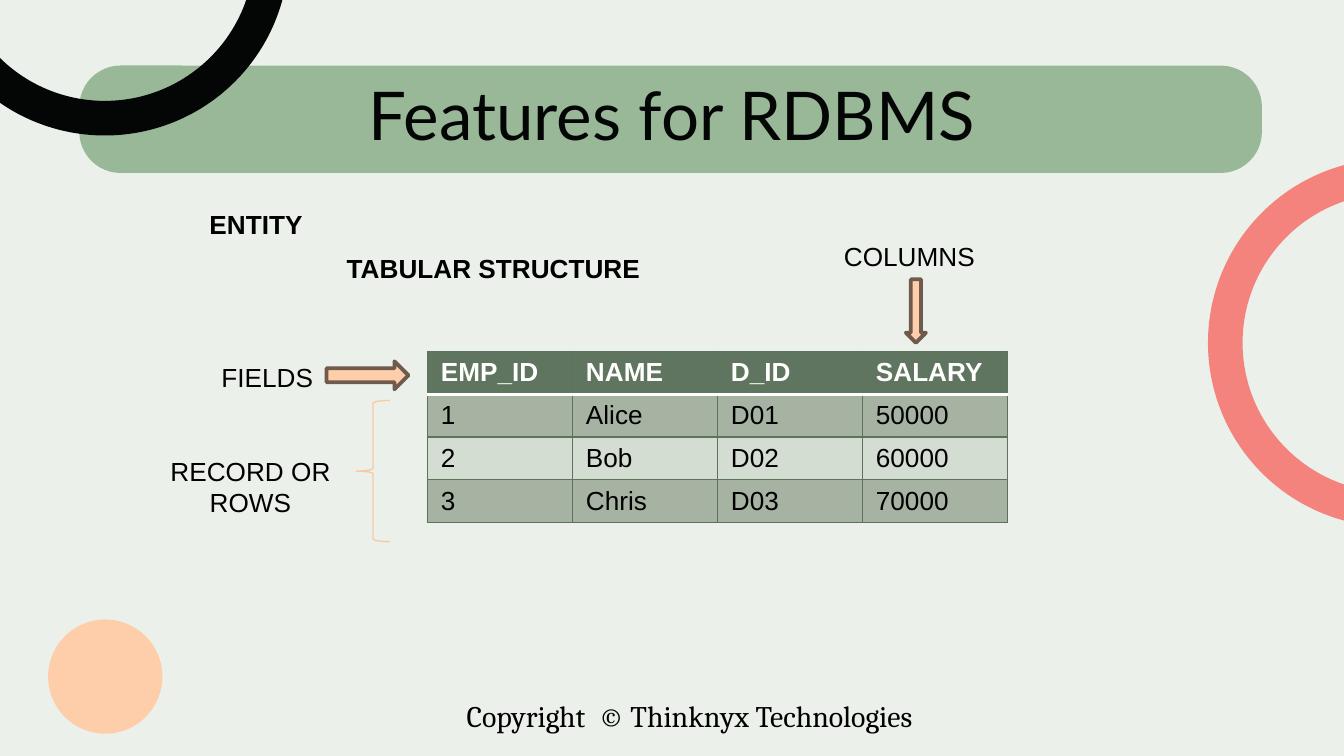
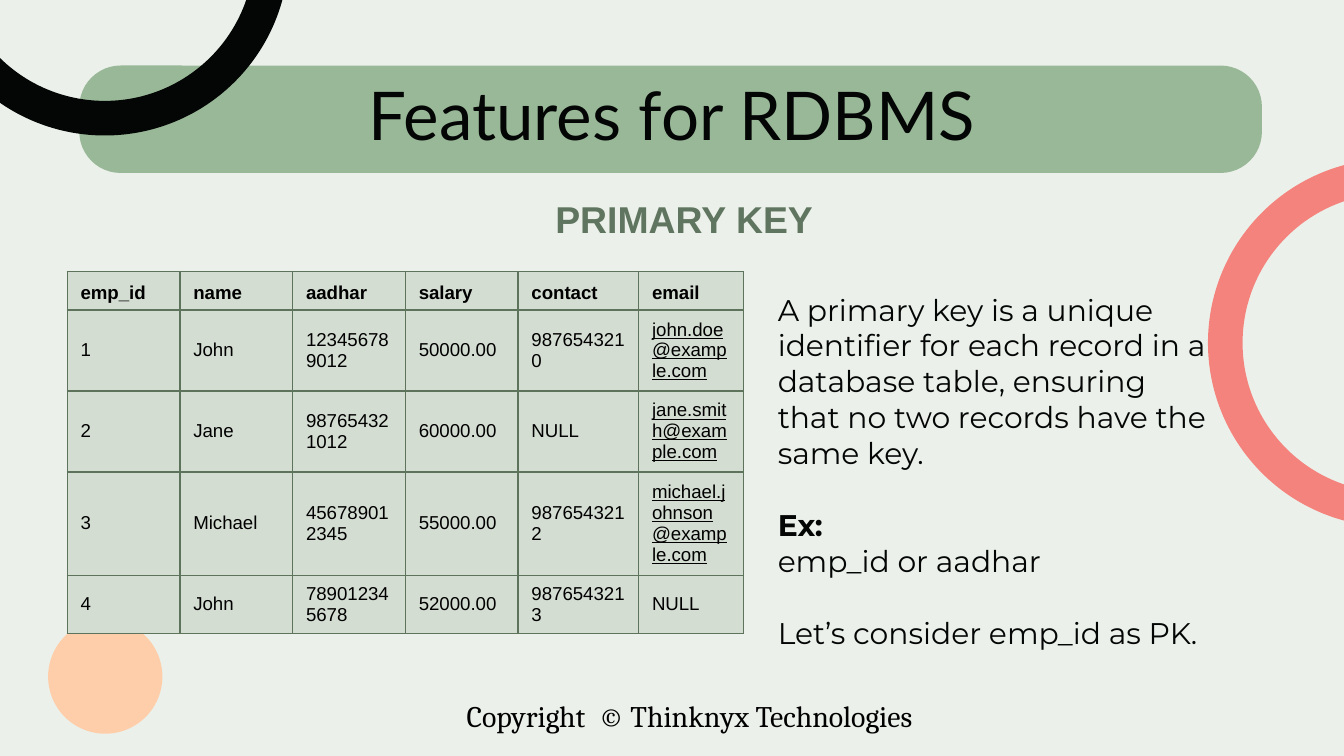
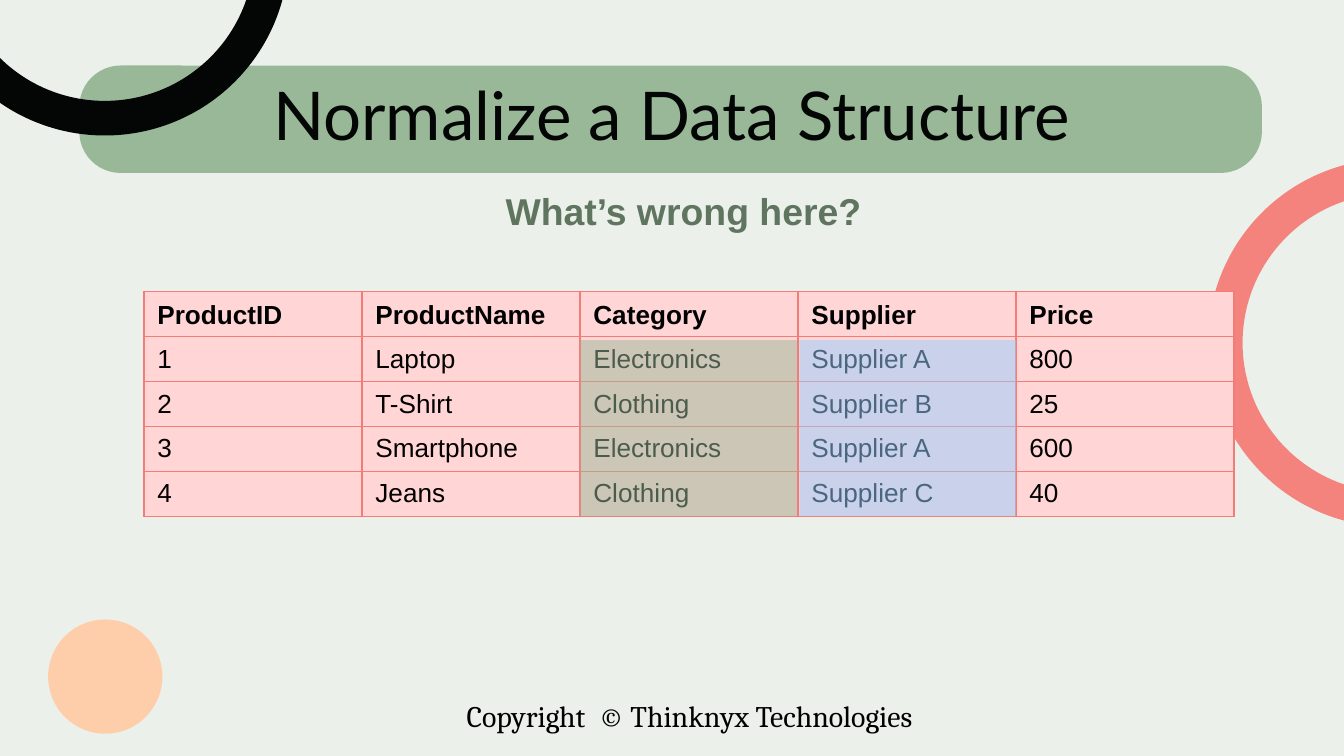
from lxml import etree
from pptx import Presentation
from pptx import util as u
from pptx.dml.color import RGBColor
from pptx.enum import shapes, text
from pptx.oxml.ns import qn

Cm, Pt = u.Cm, u.Pt
SHAPE, ALIGN, ANCHOR = shapes.MSO_SHAPE, text.PP_ALIGN, text.MSO_ANCHOR

BACKGROUND = RGBColor(0xEB, 0xF1, 0xEA)
BLACK = RGBColor(0, 0, 0)
INK = RGBColor(0x04, 0x05, 0x05)
WHITE = RGBColor(0xFF, 0xFF, 0xFF)
SAGE = RGBColor(0x99, 0xB8, 0x98)
PEACH = RGBColor(0xFE, 0xCE, 0xAA)
BRACE = RGBColor(0xFA, 0xC9, 0xA4)
BROWN = RGBColor(0x6F, 0x5A, 0x4B)
CORAL = RGBColor(0xF4, 0x83, 0x7D)
CORAL_EDGE = RGBColor(0xF2, 0x7D, 0x77)
PINK = RGBColor(0xFF, 0xD6, 0xD5)
GREEN = RGBColor(0x60, 0x75, 0x5F)
GREEN_EDGE = RGBColor(0x5D, 0x73, 0x5C)
GREEN_BAND = RGBColor(0xA6, 0xB2, 0xA2)
GREEN_PALE = RGBColor(0xD4, 0xDD, 0xD2)
SKY = RGBColor(0x96, 0xCD, 0xFF)


def add_label(s, words, box, align=ALIGN.LEFT, **style):
    sp = s.shapes.add_textbox(*map(Cm, box))
    tf = sp.text_frame
    tf.word_wrap = True
    p = tf.paragraphs[0]
    p.text, p.alignment = words, align
    fmt = {"name": "Arial", "size": Pt(14), "bold": False} | style
    p.font.color.rgb = fmt.pop("color", BLACK)
    for key, value in fmt.items():
        setattr(p.font, key, value)
    return sp


def add_grid(s, rows, left, top, widths, heights, fills, edge, size):
    """Add a bordered table with a bold first row and one fill per row."""
    tb = s.shapes.add_table(len(rows), len(widths), Cm(left), Cm(top),
                            Cm(sum(widths)), Cm(sum(heights))).table
    tb.horz_banding = False
    for col, width in zip(tb.columns, widths):
        col.width = Cm(width)
    for i, (row, values) in enumerate(zip(tb.rows, rows)):
        row.height = Cm(heights[i])
        for cell, value in zip(row.cells, values):
            cell.text = value
            cell.vertical_anchor = ANCHOR.MIDDLE if i else ANCHOR.BOTTOM
            cell.fill.solid()
            cell.fill.fore_color.rgb = fills[i]
            font = cell.text_frame.paragraphs[0].runs[0].font
            font.name, font.size, font.bold = "Arial", Pt(size), i == 0
            font.underline = "@" in value
            font.color.rgb = WHITE if fills[i] == GREEN else BLACK
            tc_pr = cell._tc.get_or_add_tcPr()
            for n, side in enumerate("LRTB"):
                strong = fills[0] == GREEN and (i, side) in ((0, "B"), (1, "T"))
                ln = etree.Element(qn(f"a:ln{side}"), w=str(Pt(2 if strong else 0.75)))
                fill = etree.SubElement(ln, qn("a:solidFill"))
                etree.SubElement(fill, qn("a:srgbClr"), val=str(WHITE if strong else edge))
                tc_pr.insert(n, ln)


prs = Presentation()
prs.slide_width, prs.slide_height = Cm(25.4), Cm(14.29)

# Shared layout: background and titles
layout = prs.slide_layouts[5]
layout.background.fill.solid()
layout.background.fill.fore_color.rgb = BACKGROUND
for ph in list(layout.placeholders)[1:]:
    ph.element.getparent().remove(ph.element)

for title in ("Features for RDBMS", "Features for RDBMS", "Normalize a Data Structure"):
    sp = prs.slides.add_slide(layout).shapes.title
    sp.left, sp.top, sp.width, sp.height = Cm(1.98), Cm(1.7), Cm(21.44), Cm(1.19)
    tf = sp.text_frame
    tf.text = title
    tf.vertical_anchor = ANCHOR.MIDDLE
    for side in ("left", "top", "right", "bottom"):
        setattr(tf, f"margin_{side}", 0)
    p = tf.paragraphs[0]
    p.alignment, p.line_spacing = ALIGN.CENTER, 0.8
    p.font.name, p.font.size, p.font.bold = "Lato", Pt(36), False
    p.font.color.rgb = INK
structure, key, normalize = prs.slides

# Footer and decoration, drawn once and moved to the layout
footer = add_label(structure, "Copyright  © Thinknyx Technologies", (7.98, 13.06, 10.11, 0.94),
                   ALIGN.CENTER, name="Cambria", size=Pt(16))
footer.text_frame.word_wrap = False
decor = [footer]
arc = (108, 0.442, 0.094)
for kind, box, color, turn, adjust in (
    (SHAPE.ROUNDED_RECTANGLE, (1.5, 1.24, 22.35, 2.03), SAGE, 0, (0.384,)),
    (SHAPE.OVAL, (0.91, 11.71, 2.16, 2.16), PEACH, 0, ()),
    (SHAPE.BLOCK_ARC, (22.83, 3, 6.96, 6.96), CORAL, 270, arc),
    (SHAPE.BLOCK_ARC, (-1.5, -4.4, 6.96, 6.96), INK, 180, arc),
):
    sp = structure.shapes.add_shape(kind, *map(Cm, box))
    sp.shadow.inherit = False
    sp.fill.solid()
    sp.fill.fore_color.rgb = color
    sp.line.fill.background()
    sp.rotation = turn
    for i, value in enumerate(adjust):
        sp.adjustments[i] = value
    decor.append(sp)
for sp in decor:
    layout.shapes.element.append(sp.element)

# Slide 1: parts of a table
employees = [
    ("EMP_ID", "NAME", "D_ID", "SALARY"),
    ("1", "Alice", "D01", "50000"),
    ("2", "Bob", "D02", "60000"),
    ("3", "Chris", "D03", "70000"),
]
add_grid(structure, employees, 8.08, 6.64, [2.74] * 4, [0.81] * 4,
         [GREEN, GREEN_BAND, GREEN_PALE, GREEN_BAND], GREEN_EDGE, 14)
for kind, box, line, width in (
    (SHAPE.DOWN_ARROW, (17.12, 5.28, 0.38, 1.2), BROWN, 2),
    (SHAPE.RIGHT_ARROW, (6.17, 6.83, 1.55, 0.53), BROWN, 2),
    (SHAPE.LEFT_BRACE, (6.73, 7.57, 0.64, 2.67), BRACE, 0.75),
):
    sp = structure.shapes.add_shape(kind, *map(Cm, box))
    sp.shadow.inherit = False
    if kind == SHAPE.LEFT_BRACE:
        sp.fill.background()
    else:
        sp.fill.solid()
        sp.fill.fore_color.rgb = PEACH
    sp.line.color.rgb, sp.line.width = line, Pt(width)
for words, box, align, bold in (
    ("COLUMNS", (15.7, 4.42, 3.63, 0.86), ALIGN.LEFT, False),
    ("FIELDS", (2.54, 6.71, 3.63, 0.86), ALIGN.RIGHT, False),
    ("RECORD OR ROWS", (2.92, 8.48, 3.63, 1.45), ALIGN.CENTER, False),
    ("ENTITY", (2.34, 3.81, 3.63, 0.86), ALIGN.RIGHT, True),
    ("TABULAR STRUCTURE", (5.59, 4.65, 6.76, 0.86), ALIGN.RIGHT, True),
):
    add_label(structure, words, box, align, bold=bold)

# Slide 2: primary key
heading = {"align": ALIGN.CENTER, "size": Pt(20), "bold": True, "color": GREEN}
add_label(key, "PRIMARY KEY", (9.55, 3.58, 6.76, 1.12), **heading)
body = {"name": "Montserrat", "size": Pt(16), "color": INK}
tf = add_label(key, "A primary key is a unique identifier for each record in a database table, "
               "ensuring that no two records have the same key.",
               (14.45, 5.38, 8.74, 7.09), **body).text_frame
for words, gap, bold in (
    ("Ex:", 19.5, True),
    ("emp_id or aadhar", 0, False),
    ("Let’s consider emp_id as PK.", 19.5, False),
):
    p = tf.add_paragraph()
    p.text, p.space_before = words, Pt(gap)
    p.font.name, p.font.size, p.font.bold = body["name"], body["size"], bold
    p.font.color.rgb = INK
people = [
    ("emp_id", "name", "aadhar", "salary", "contact", "email"),
    ("1", "John", "123456789012", "50000.00", "9876543210", "john.doe@example.com"),
    ("2", "Jane", "987654321012", "60000.00", "NULL", "jane.smith@example.com"),
    ("3", "Michael", "456789012345", "55000.00", "9876543212", "michael.johnson@example.com"),
    ("4", "John", "789012345678", "52000.00", "9876543213", "NULL"),
]
add_grid(key, people, 1.27, 5.13, [2.13] * 4 + [2.28, 1.98],
         [0.73, 1.53, 1.53, 1.95, 1.1], [GREEN_PALE] * 5, GREEN_EDGE, 10)

# Slide 3: repeated values
add_label(normalize, "What’s wrong here?", (8.31, 3.43, 9.22, 1.12), **heading)
products = [
    ("ProductID", "ProductName", "Category", "Supplier", "Price"),
    ("1", "Laptop", "Electronics", "Supplier A", "800"),
    ("2", "T-Shirt", "Clothing", "Supplier B", "25"),
    ("3", "Smartphone", "Electronics", "Supplier A", "600"),
    ("4", "Jeans", "Clothing", "Supplier C", "40"),
]
add_grid(normalize, products, 2.72, 5.51, [4.12] * 5, [0.85] * 5,
         [PINK] * 5, CORAL_EDGE, 14)
for left, color in ((10.97, SAGE), (15.11, SKY)):
    sp = normalize.shapes.add_shape(SHAPE.RECTANGLE, Cm(left), Cm(6.43), Cm(4.09), Cm(3.33))
    sp.shadow.inherit = False
    sp.fill.solid()
    sp.fill.fore_color.rgb = color
    sp.line.fill.background()
    clr = sp.element.spPr.find(f"{qn('a:solidFill')}/{qn('a:srgbClr')}")
    etree.SubElement(clr, qn("a:alpha"), val="50000")

prs.save("out.pptx")
